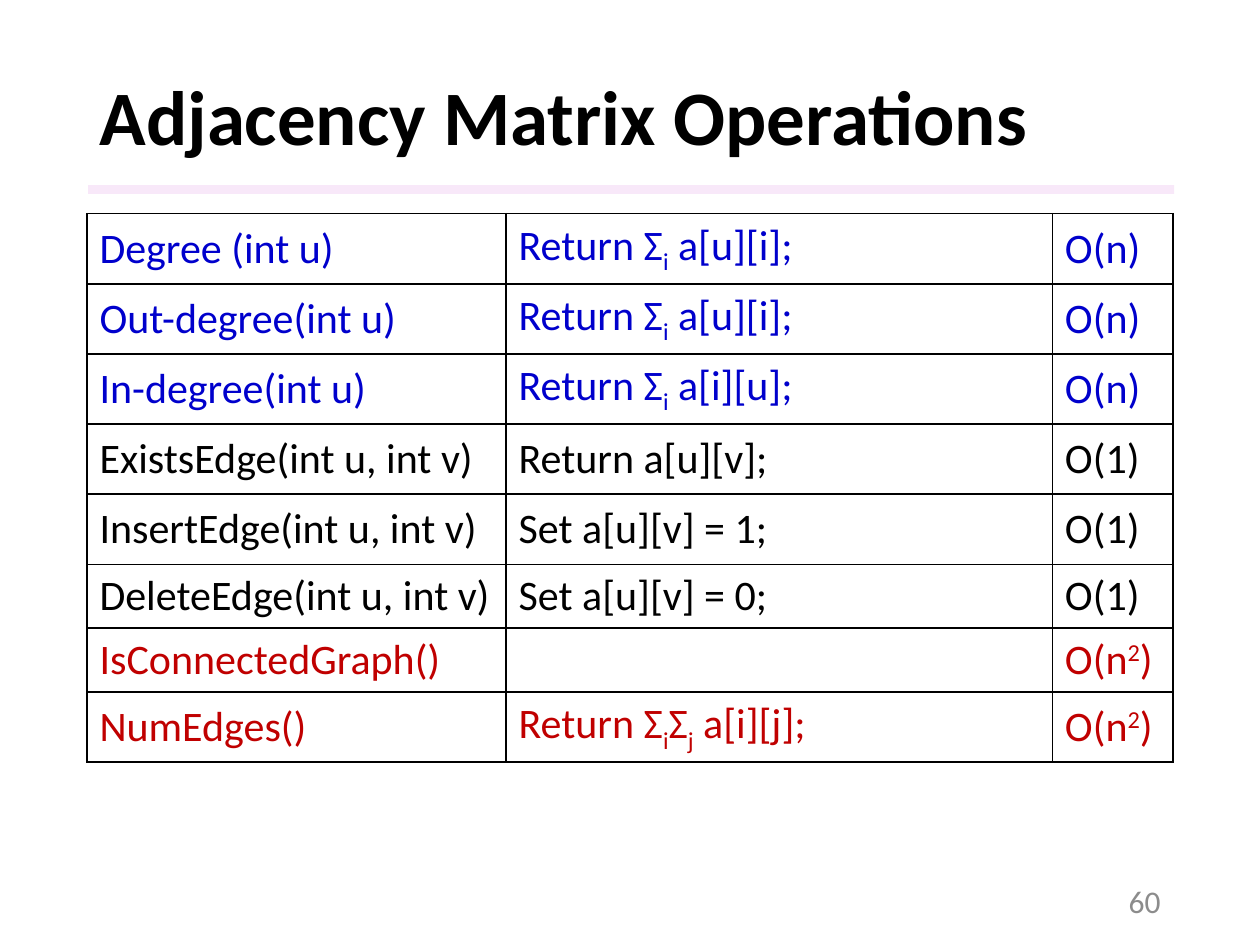
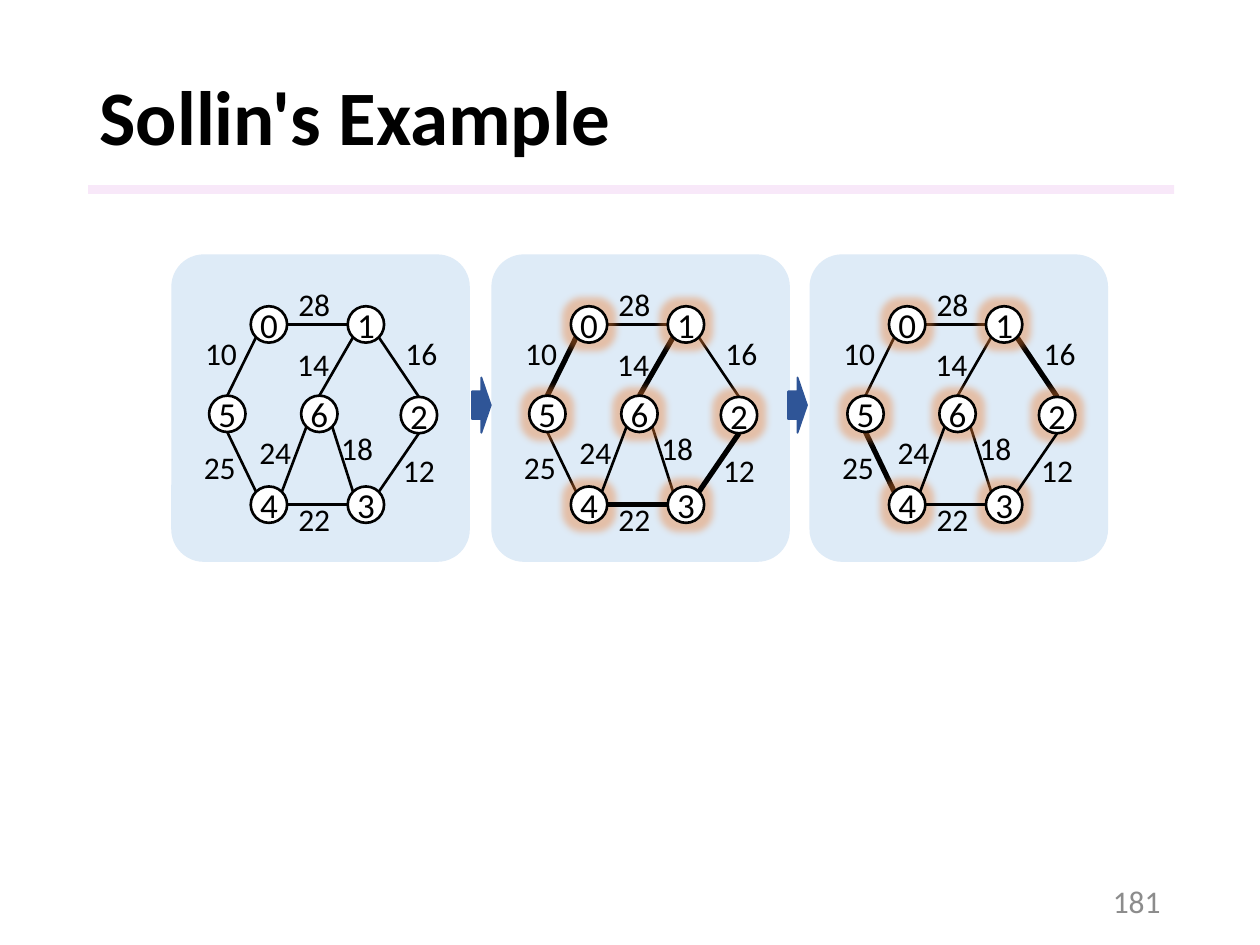
"""Builds two slides on graph algorithms: a table of matrix operations and Sollin's example."""
from lxml import etree
from pptx import Presentation
from pptx.dml.color import RGBColor
from pptx.enum.shapes import MSO_CONNECTOR, MSO_SHAPE
from pptx.enum.text import MSO_ANCHOR, PP_ALIGN
from pptx.oxml import parse_xml
from pptx.oxml.ns import nsdecls, qn
from pptx.util import Pt

STRAIGHT = MSO_CONNECTOR.STRAIGHT
RECTANGLE = MSO_SHAPE.RECTANGLE
ROUNDED = MSO_SHAPE.ROUNDED_RECTANGLE
OVAL = MSO_SHAPE.OVAL
DOWN_ARROW = MSO_SHAPE.DOWN_ARROW
TOP, MIDDLE = MSO_ANCHOR.TOP, MSO_ANCHOR.MIDDLE
LEFT, CENTER, RIGHT = PP_ALIGN.LEFT, PP_ALIGN.CENTER, PP_ALIGN.RIGHT

FONT = "Calibri"
COLORS = {
    "black": "000000",
    "white": "FFFFFF",
    "band": "F3D2F4",
    "number": "8C8C8C",
    "blue": "0000CC",
    "red": "C00000",
    "panel": "DEEBF7",
    "arrow": "2F5597",
    "glow": "ED7D31",
}


def write(frame, text, size=18, color="black", bold=False, align=LEFT, anchor=TOP):
    """Write one paragraph; pieces between tildes are raised digits or lowered letters."""
    frame.vertical_anchor = anchor
    para = frame.paragraphs[0]
    para.alignment = align
    for index, piece in enumerate(text.split("~")):
        if not piece:
            continue
        span = para.add_run()
        span.text = piece
        span.font.name = FONT
        span.font.size = Pt(size)
        span.font.bold = bold
        span.font.color.rgb = RGBColor.from_string(COLORS[color])
        if index % 2:
            baseline = "30000" if piece.isdigit() else "-25000"
            span._r.get_or_add_rPr().set("baseline", baseline)


def draw(page, kind, left, top, width, height, fill, line=None, weight=1):
    """Draw a flat preset shape with a solid fill and an optional outline."""
    shape = page.shapes.add_shape(kind, Pt(left), Pt(top), Pt(width), Pt(height))
    shape.shadow.inherit = False
    shape.fill.solid()
    shape.fill.fore_color.rgb = RGBColor.from_string(COLORS[fill])
    if line:
        shape.line.color.rgb = RGBColor.from_string(COLORS[line])
        shape.line.width = Pt(weight)
    else:
        shape.line.fill.background()
    return shape


deck = Presentation()
deck.slide_width, deck.slide_height = Pt(720), Pt(540)

pages = []
for heading, number in [("Adjacency Matrix Operations", "60"), ("Sollin's Example", "181")]:
    page = deck.slides.add_slide(deck.slide_layouts[5])
    band = draw(page, RECTANGLE, 50.4, 105.8, 620.6, 5, "band")
    band_color = band.fill._xPr.find(qn("a:solidFill"))[0]
    etree.SubElement(band_color, qn("a:alpha"), val="50000")

    title = page.shapes.title
    title.left, title.top, title.width, title.height = Pt(49.7), Pt(28.8), Pt(620.6), Pt(79.9)
    write(title.text_frame, heading, size=44, bold=True, anchor=MIDDLE)
    title.text_frame.paragraphs[0].line_spacing = 0.9

    footer = page.shapes.add_textbox(Pt(508.3), Pt(500.4), Pt(162), Pt(28.8))
    footer.text_frame.word_wrap = True
    write(footer.text_frame, number, color="number", align=RIGHT, anchor=MIDDLE)
    pages.append(page)

matrix_page, sollin_page = pages

OPERATIONS = [
    ("blue", "Degree (int u)", "Return Σ~i~ a[u][i];", "O(n)"),
    ("blue", "Out-degree(int u)", "Return Σ~i~ a[u][i];", "O(n)"),
    ("blue", "In-degree(int u)", "Return Σ~i~ a[i][u];", "O(n)"),
    ("black", "ExistsEdge(int u, int v)", "Return a[u][v];", "O(1)"),
    ("black", "InsertEdge(int u, int v)", "Set a[u][v] = 1;", "O(1)"),
    ("black", "DeleteEdge(int u, int v)", "Set a[u][v] = 0;", "O(1)"),
    ("red", "IsConnectedGraph()", "", "O(n~2~)"),
    ("red", "NumEdges()", "Return Σ~i~Σ~j~ a[i][j];", "O(n~2~)"),
]
COLUMN_WIDTHS = [239.5, 312.2, 68.9]
ROW_HEIGHTS = [40.1] * 5 + [36.5] * 2 + [40.1]

table = matrix_page.shapes.add_table(
    len(OPERATIONS), len(COLUMN_WIDTHS), Pt(49.7), Pt(122.1),
    Pt(sum(COLUMN_WIDTHS)), Pt(sum(ROW_HEIGHTS))).table
table.first_row = table.horz_banding = False
for column, width in zip(table.columns, COLUMN_WIDTHS):
    column.width = Pt(width)
for row, height, (color, *texts) in zip(table.rows, ROW_HEIGHTS, OPERATIONS):
    row.height = Pt(height)
    for cell, text in zip(row.cells, texts):
        write(cell.text_frame, text, size=24, color=color)
        cell.vertical_anchor = MIDDLE
        properties = cell._tc.get_or_add_tcPr()
        for side in ("lnL", "lnR", "lnT", "lnB"):
            properties.append(parse_xml(
                f'<a:{side} {nsdecls("a")} w="{Pt(1)}"><a:solidFill>'
                f'<a:srgbClr val="{COLORS["black"]}"/></a:solidFill></a:{side}>'))
        cell.fill.background()

PANEL_TOP, PANEL_WIDTH, PANEL_HEIGHT = 145.4, 170.6, 175.7
RADIUS = 10.4
DIAGONAL = 0.71
COMPASS = {
    "N": (0, -1), "S": (0, 1), "W": (-1, 0), "E": (1, 0),
    "NW": (-DIAGONAL, -DIAGONAL), "NE": (DIAGONAL, -DIAGONAL),
    "SW": (-DIAGONAL, DIAGONAL), "SE": (DIAGONAL, DIAGONAL),
}
NODES = {
    "3": (111.2, 143), "0": (55.8, 40), "1": (111.2, 40), "2": (141.5, 91.8),
    "4": (55.8, 143), "5": (32, 91.1), "6": (84.6, 91.1),
}
EDGES = [
    (28, "0", "E", "1", "W", 65.5, 13.7),
    (14, "1", "SW", "6", "N", 64.8, 48.2),
    (18, "3", "NW", "6", "SE", 90, 96.5),
    (16, "2", "N", "1", "SE", 126.7, 41.8),
    (25, "4", "NW", "5", "S", 11.5, 107.3),
    (10, "5", "N", "0", "SW", 12.2, 41.8),
    (24, "6", "SW", "4", "NE", 43.2, 98.6),
    (12, "3", "NE", "2", "S", 125.3, 108.7),
    (22, "4", "E", "3", "W", 65.5, 136.8),
]
FRONT_EDGES = {24, 12, 22}
STAGES = [
    (97.9, set(), False),
    (280.8, {10, 14, 12, 22}, True),
    (462.6, {16, 25}, True),
]

for panel_left, chosen_edges, glowing in STAGES:
    panel = draw(sollin_page, ROUNDED, panel_left, PANEL_TOP, PANEL_WIDTH, PANEL_HEIGHT, "panel")
    panel.adjustments[0] = 0.109

    for name, (x, y) in NODES.items():
        node = draw(sollin_page, OVAL, panel_left + x - RADIUS, PANEL_TOP + y - RADIUS,
                    2 * RADIUS, 2 * RADIUS, "white", line="black", weight=1.5)
        node.text_frame.margin_left = node.text_frame.margin_right = 0
        write(node.text_frame, name, size=20, align=CENTER, anchor=MIDDLE)
        if glowing:
            effects = node._element.spPr.find(qn("a:effectLst"))
            effects.append(parse_xml(
                f'<a:glow {nsdecls("a")} rad="{Pt(8)}"><a:srgbClr val="{COLORS["glow"]}">'
                '<a:alpha val="40000"/></a:srgbClr></a:glow>'))

    for cost, start, start_side, end, end_side, label_x, label_y in EDGES:
        ends = []
        for name, side in ((start, start_side), (end, end_side)):
            ends.append(Pt(panel_left + NODES[name][0] + RADIUS * COMPASS[side][0]))
            ends.append(Pt(PANEL_TOP + NODES[name][1] + RADIUS * COMPASS[side][1]))
        edge = sollin_page.shapes.add_connector(STRAIGHT, *ends)
        edge.line.color.rgb = RGBColor.from_string(COLORS["black"])
        edge.line.width = Pt(3 if cost in chosen_edges else 1.5)
        etree.SubElement(edge._element.spPr, qn("a:effectLst"))
        if cost not in FRONT_EDGES:
            panel._element.addnext(edge._element)

        label = sollin_page.shapes.add_textbox(
            Pt(panel_left + label_x), Pt(PANEL_TOP + label_y), Pt(33.1), Pt(28.8))
        label.text_frame.word_wrap = False
        write(label.text_frame, str(cost))

for arrow_left in (259.2, 439.9):
    arrow = draw(sollin_page, DOWN_ARROW, arrow_left, 226.1, 31.7, 10.8, "arrow", line="arrow")
    arrow.rotation = 270

deck.save("out.pptx")
